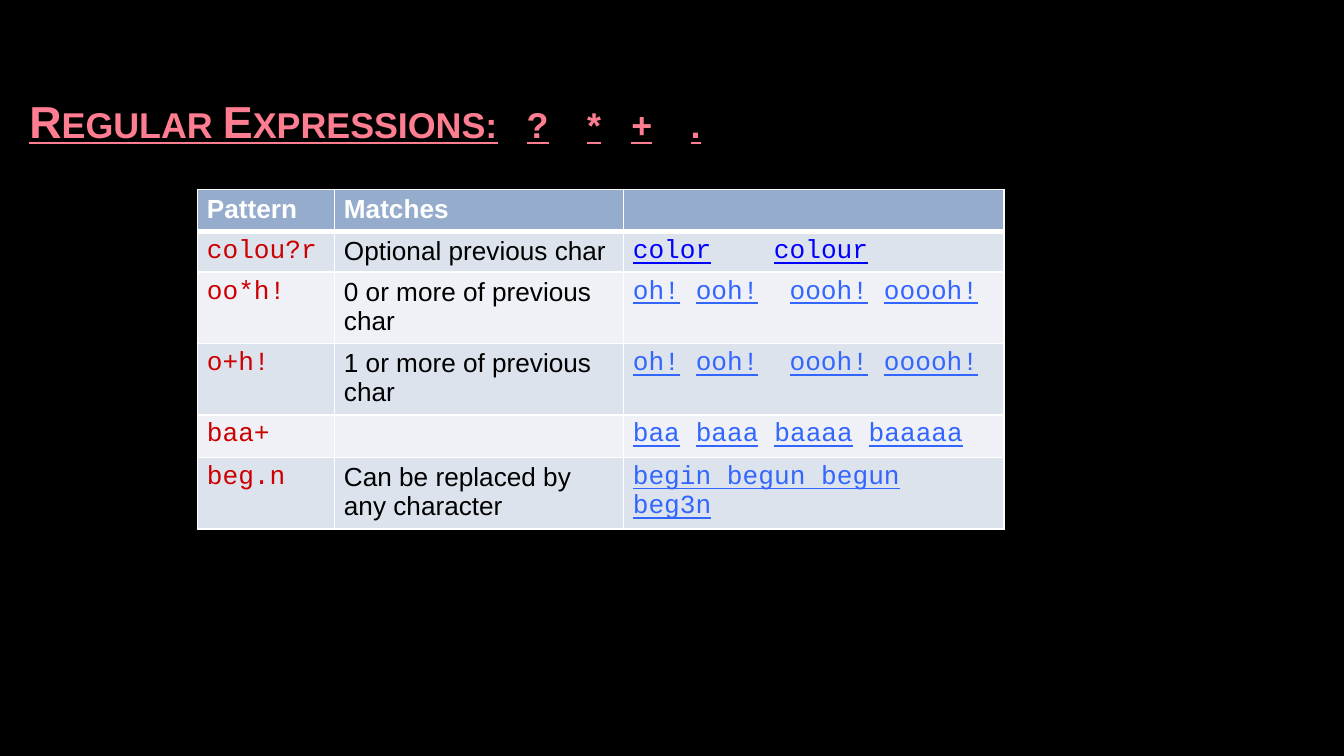
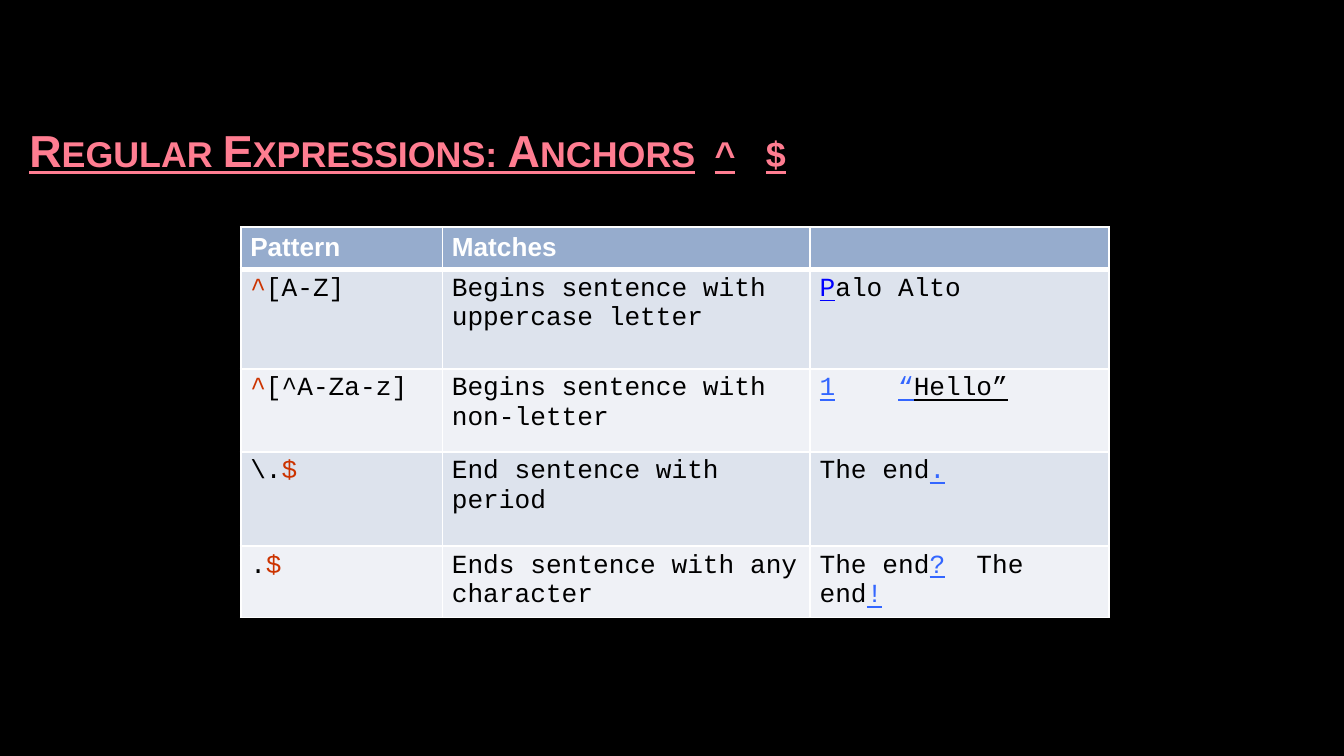
from dataclasses import dataclass

from lxml.etree import SubElement
from pptx import Presentation
from pptx.dml.color import RGBColor
from pptx.enum.text import MSO_ANCHOR, MSO_AUTO_SIZE, PP_ALIGN
from pptx.oxml.ns import qn
from pptx.util import Cm, Pt


@dataclass(frozen=True)
class Theme:
    background: str = "000000"
    title: str = "FF7D91"
    header: str = "96ACCD"
    bands: tuple = ("DDE3ED", "EFF1F6")
    white: str = "FFFFFF"
    text: str = "000000"
    pattern: str = "CC0000"
    anchor: str = "CC3300"
    link: str = "0000FF"
    match: str = "3366FF"
    sans: str = "Arial"
    mono: str = "Courier New"
    title_size: int = 24
    table_size: int = 14
    line: float = 1
    header_line: float = 3


THEME = Theme()


def chars(n):
    """Width in cm of n monospaced characters at table size."""
    return n * 0.6 * THEME.table_size * 2.54 / 72


def set_tabs(p, stops):
    tabs = SubElement(p._p.get_or_add_pPr(), qn("a:tabLst"))
    for stop in stops:
        SubElement(tabs, qn("a:tab"), pos=str(Cm(stop)), algn="l")


def add_text(p, text, *, size=THEME.table_size, font=THEME.mono, color=THEME.text,
             bold=False, underline=False, small_caps=False):
    r = p.add_run()
    r.text = text
    r.font.size = Pt(size)
    r.font.name = font
    r.font.color.rgb = RGBColor.from_string(color)
    r.font.bold = bold
    r.font.underline = underline
    if small_caps:
        r._r.get_or_add_rPr().set("cap", "small")


def run(text, **fmt):
    return text, fmt


def pattern(text):
    return [run(text, color=THEME.pattern)]


def prose(text):
    return [run(text, font=THEME.sans)]


def anchor(text):
    return run(text, color=THEME.anchor)


def match(text, color=THEME.match):
    return run(text, color=color, underline=True)


def matches(*words):
    """Underlined words, with a space between neighbours unless one is a tab."""
    runs = []
    for i, word in enumerate(words):
        if word == "\t":
            runs.append(run(word))
            continue
        if i and words[i - 1] != "\t":
            runs.append(run(" "))
        runs.append(match(word))
    return runs


def set_borders(cell, bottom):
    tcPr = cell._tc.get_or_add_tcPr()
    widths = {"L": THEME.line, "R": THEME.line, "T": THEME.line, "B": bottom}
    for i, (side, width) in enumerate(widths.items()):
        ln = SubElement(tcPr, qn(f"a:ln{side}"), w=str(Pt(width)))
        SubElement(SubElement(ln, qn("a:solidFill")), qn("a:srgbClr"), val=THEME.white)
        tcPr.insert(i, ln)


def fill_cell(cell, runs, fill, bottom=THEME.line, tab=None):
    cell.fill.solid()
    cell.fill.fore_color.rgb = RGBColor.from_string(fill)
    set_borders(cell, bottom)
    cell.margin_left = cell.margin_right = Cm(0.18)
    cell.margin_top = cell.margin_bottom = Cm(0.1)
    p = cell.text_frame.paragraphs[0]
    if tab:
        set_tabs(p, [chars(tab)])
    for text, fmt in runs:
        add_text(p, text, **fmt)
    if not runs:
        SubElement(p._p, qn("a:endParaRPr"), sz=str(THEME.table_size * 100))


def add_pattern_table(slide, left, top, widths, heights, rows):
    """Each row is (pattern, meaning, examples, tab column of the examples)."""
    table = slide.shapes.add_table(
        len(heights), len(widths), Cm(left), Cm(top),
        Cm(sum(widths)), Cm(sum(heights))).table
    for column, width in zip(table.columns, widths):
        column.width = Cm(width)
    for row, height in zip(table.rows, heights):
        row.height = Cm(height)
    for c, label in enumerate(("Pattern", "Matches", "")):
        runs = [run(label, font=THEME.sans, color=THEME.white, bold=True)] if label else []
        fill_cell(table.cell(0, c), runs, THEME.header, bottom=THEME.header_line)
    for i, (*cells, tab) in enumerate(rows):
        for c, runs in enumerate(cells):
            fill_cell(table.cell(i + 1, c), runs, THEME.bands[i % 2],
                      tab=tab if c == 2 else None)


def add_slide(prs, title, top, tabs):
    slide = prs.slides.add_slide(prs.slide_layouts[5])
    slide.background.fill.solid()
    slide.background.fill.fore_color.rgb = RGBColor.from_string(THEME.background)
    sp = slide.shapes.title
    sp.left, sp.top, sp.width, sp.height = Cm(0.3), Cm(top), Cm(22.2), Cm(1.04)
    tf = sp.text_frame
    tf.auto_size = MSO_AUTO_SIZE.NONE
    tf.vertical_anchor = MSO_ANCHOR.MIDDLE
    p = tf.paragraphs[0]
    p.alignment = PP_ALIGN.LEFT
    set_tabs(p, tabs)
    add_text(p, title, size=THEME.title_size, font=THEME.sans, color=THEME.title,
             bold=True, underline=True, small_caps=True)
    return slide


def add_operators_slide(prs):
    slide = add_slide(prs, "Regular Expressions:\t?\t*\t+\t.", 1.75,
                      [9.4, 10.54, 11.38, 12.5])
    oh_words = matches("oh!", "ooh!", "\t", "oooh!", "ooooh!")
    add_pattern_table(
        slide, 3.73, 3.58, [2.59, 5.46, 7.19], [0.76, 0.76, 1.35, 1.35, 0.76, 1.35], [
            (pattern("colou?r"), prose("Optional previous char"),
             [match("color", THEME.link), run("\t"), match("colour", THEME.link)], 9),
            (pattern("oo*h!"), prose("0 or more of previous char"), oh_words, 10),
            (pattern("o+h!"), prose("1 or more of previous char"), oh_words, 10),
            (pattern("baa+"), [], matches("baa", "baaa", "baaaa", "baaaaa"), None),
            (pattern("beg.n"), prose("Can be replaced by any character"),
             [match("begin begun begun beg3n")], None),
        ])


def add_anchors_slide(prs):
    slide = add_slide(prs, "Regular Expressions: Anchors\t^\t$", 2.31, [12.95, 13.92])
    add_pattern_table(
        slide, 4.55, 4.29, [3.81, 6.95, 5.65], [0.76, 1.88, 1.57, 1.78, 1.35], [
            ([anchor("^"), run("[A-Z]")], [run("Begins sentence with uppercase letter")],
             [match("P", THEME.link), run("alo Alto")], None),
            ([anchor("^"), run("[^A-Za-z]")], [run("Begins sentence with non-letter")],
             [match("1"), run("\t"), match("“"), match("Hello”", THEME.text)], 5),
            ([run("\\."), anchor("$")], [run("End sentence with period")],
             [run("The end"), match(".")], None),
            ([run("."), anchor("$")], [run("Ends sentence with any character")],
             [run("The end"), match("?"), run("\t"), run("The end"), match("!")], 10),
        ])


def main():
    prs = Presentation()
    prs.slide_width, prs.slide_height = Cm(25.4), Cm(14.29)
    add_operators_slide(prs)
    add_anchors_slide(prs)
    prs.save("out.pptx")


if __name__ == "__main__":
    main()
